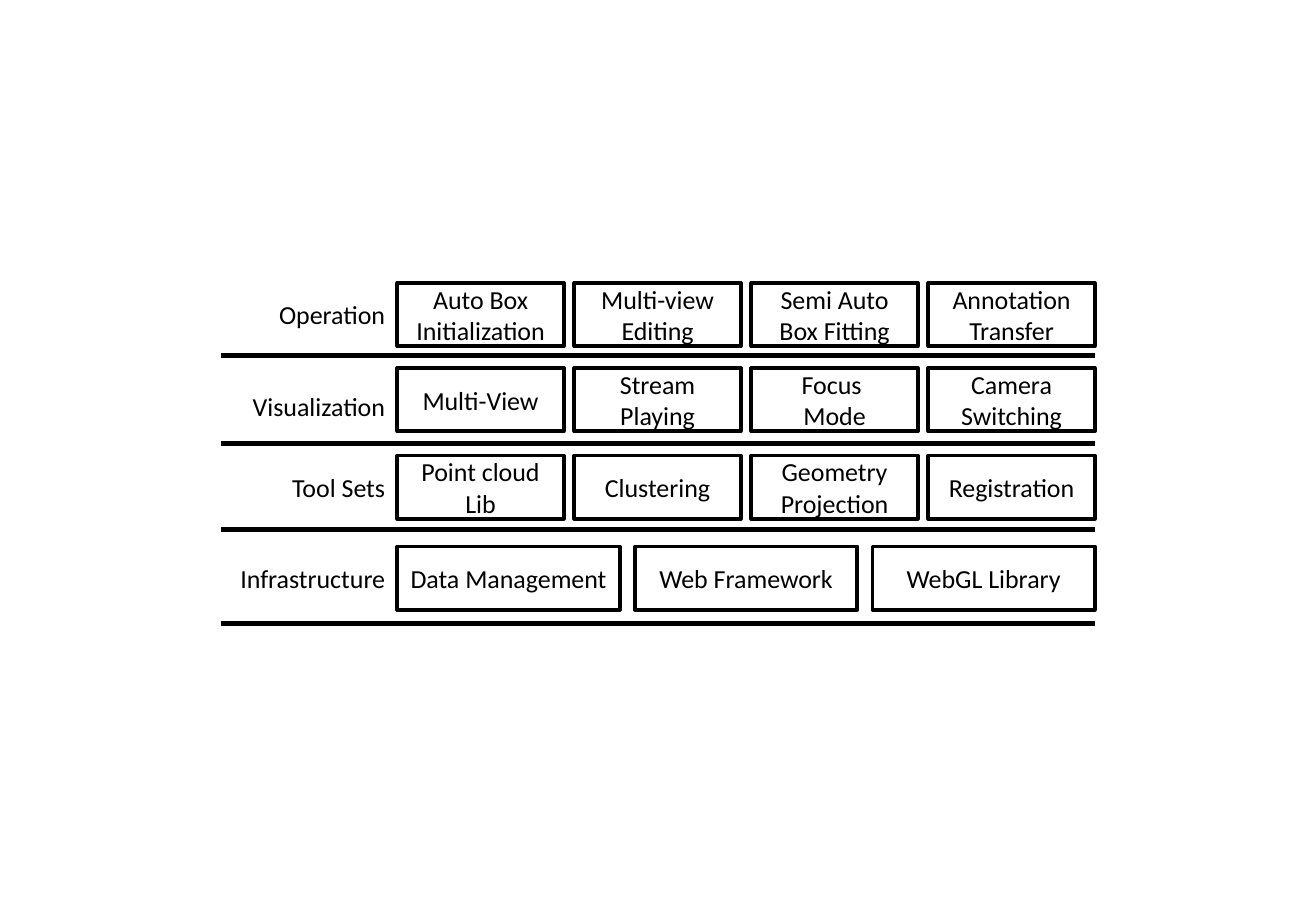
from lxml import etree
from pptx import Presentation
from pptx.dml.color import RGBColor
from pptx.enum import shapes, text
from pptx.oxml import ns
from pptx.util import Inches, Pt

BLACK = RGBColor(0x00, 0x00, 0x00)
WHITE = RGBColor(0xFF, 0xFF, 0xFF)
FONT, SIZE = "Calibri", Pt(15.4)

LEFT, BOXES_LEFT, RIGHT = 1.82, 3.27, 9.01
LABEL_LEFT, LABEL_WIDTH = 1.63, 1.63
BOX_HEIGHT = 0.52
BOX_WIDTHS = {3: 1.83, 4: 1.37}  # by number of boxes in the layer

# label, label top, box top, rule position, box texts
LAYERS = [
    ("Operation", 2.33, 2.33, 2.93,
     ["Auto Box Initialization", "Multi-view\nEditing",
      "Semi Auto\nBox Fitting", "Annotation\nTransfer"]),
    ("Visualization", 3.08, 3.03, 3.65,
     ["Multi-View", "Stream Playing", "Focus\u00a0\nMode", "Camera Switching"]),
    ("Tool Sets", 3.75, 3.75, 4.36,
     ["Point cloud Lib", "Clustering", "Geometry Projection", "Registration"]),
    ("Infrastructure", 4.5, 4.5, 5.13,
     ["Data Management", "Web Framework", "WebGL Library"]),
]


def set_text(sp, content, align):
    """Write centred-in-height text into a shape, one paragraph per line."""
    tf = sp.text_frame
    tf.word_wrap = True
    tf.vertical_anchor = text.MSO_ANCHOR.MIDDLE
    tf.margin_left = tf.margin_right = Inches(0.09)
    tf.text = content
    for p in tf.paragraphs:
        p.alignment = align
        p.font.name, p.font.size = FONT, SIZE
        p.font.color.rgb = BLACK


def add_label(s, content, top):
    """Add the right-aligned name of a layer."""
    sp = s.shapes.add_textbox(Inches(LABEL_LEFT), Inches(top),
                              Inches(LABEL_WIDTH), Inches(BOX_HEIGHT))
    set_text(sp, content, text.PP_ALIGN.RIGHT)


def add_box(s, content, left, top, width):
    """Add one outlined component box."""
    sp = s.shapes.add_shape(shapes.MSO_SHAPE.RECTANGLE, Inches(left),
                            Inches(top), Inches(width), Inches(BOX_HEIGHT))
    sp.shadow.inherit = False
    sp.fill.solid()
    sp.fill.fore_color.rgb = WHITE
    sp.line.color.rgb = BLACK
    sp.line.width = Pt(2.25)
    set_text(sp, content, text.PP_ALIGN.CENTER)


def add_box_row(s, contents, top):
    """Spread a layer's boxes evenly up to the right edge."""
    width = BOX_WIDTHS[len(contents)]
    pitch = (RIGHT - BOXES_LEFT - width) / (len(contents) - 1)
    for i, content in enumerate(contents):
        add_box(s, content, BOXES_LEFT + i * pitch, top, width)


def add_rule(s, y):
    """Add the horizontal rule below a layer."""
    line = s.shapes.add_connector(shapes.MSO_CONNECTOR.STRAIGHT, Inches(LEFT),
                                  Inches(y), Inches(RIGHT), Inches(y))
    line.line.color.rgb = BLACK
    line.line.width = Pt(3)
    etree.SubElement(line._element.spPr, ns.qn("a:effectLst"))


def main():
    """Build the layered architecture slide."""
    prs = Presentation()
    prs.slide_width, prs.slide_height = Inches(10.83), Inches(7.5)
    s = prs.slides.add_slide(prs.slide_layouts[6])
    for label, label_top, box_top, rule_y, contents in LAYERS:
        add_label(s, label, label_top)
        add_box_row(s, contents, box_top)
        add_rule(s, rule_y)
    prs.save("out.pptx")


main()
